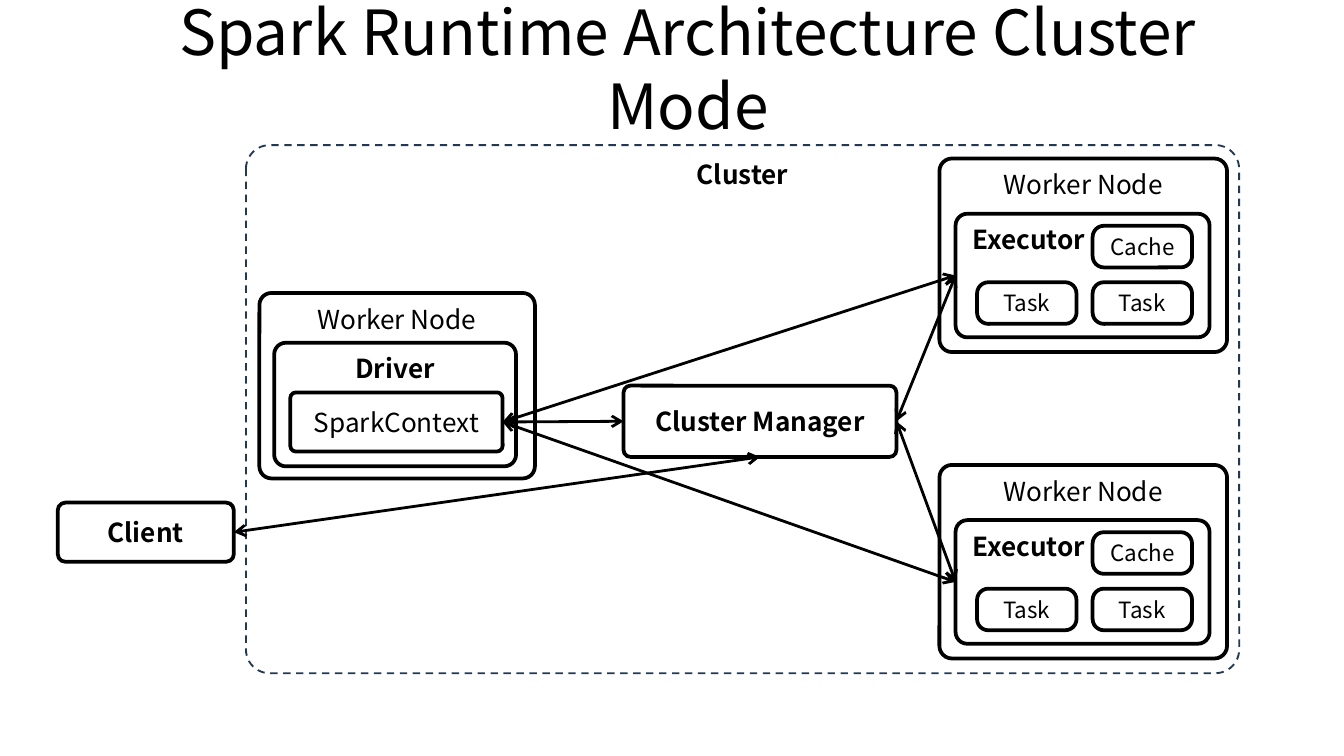
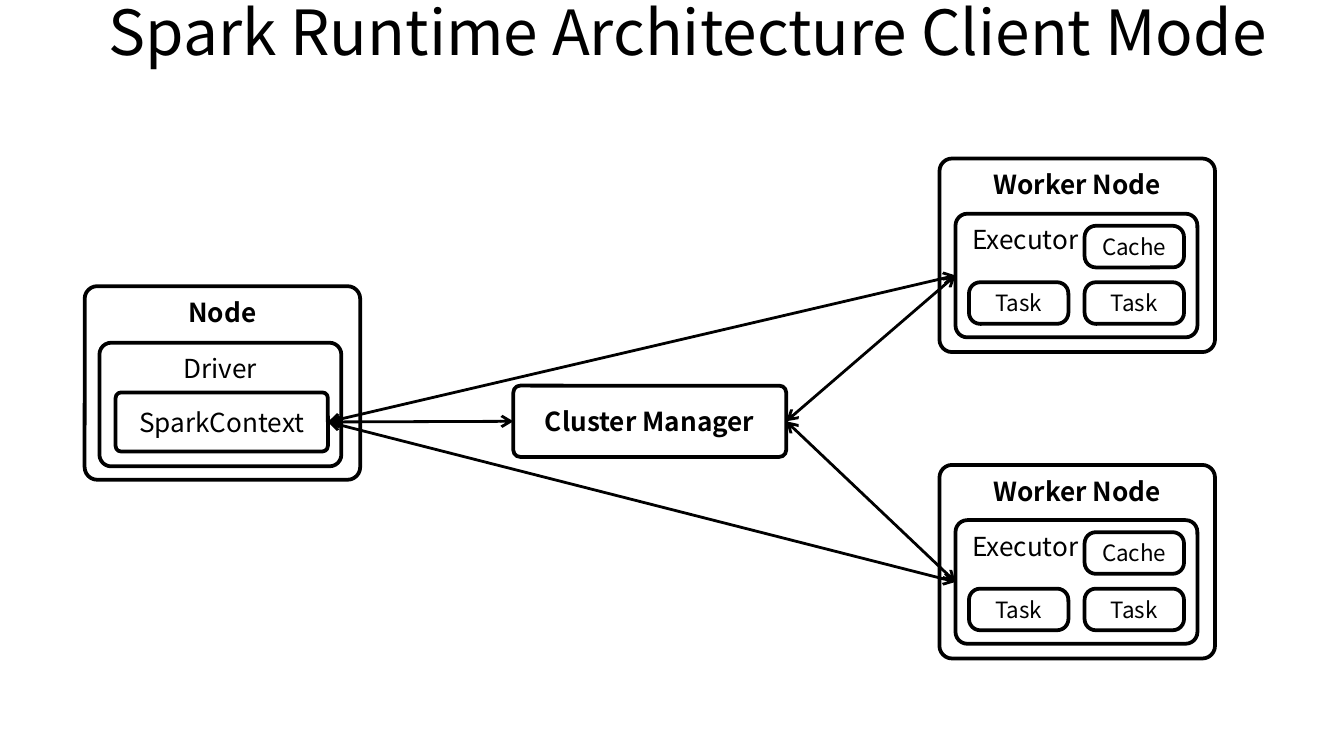
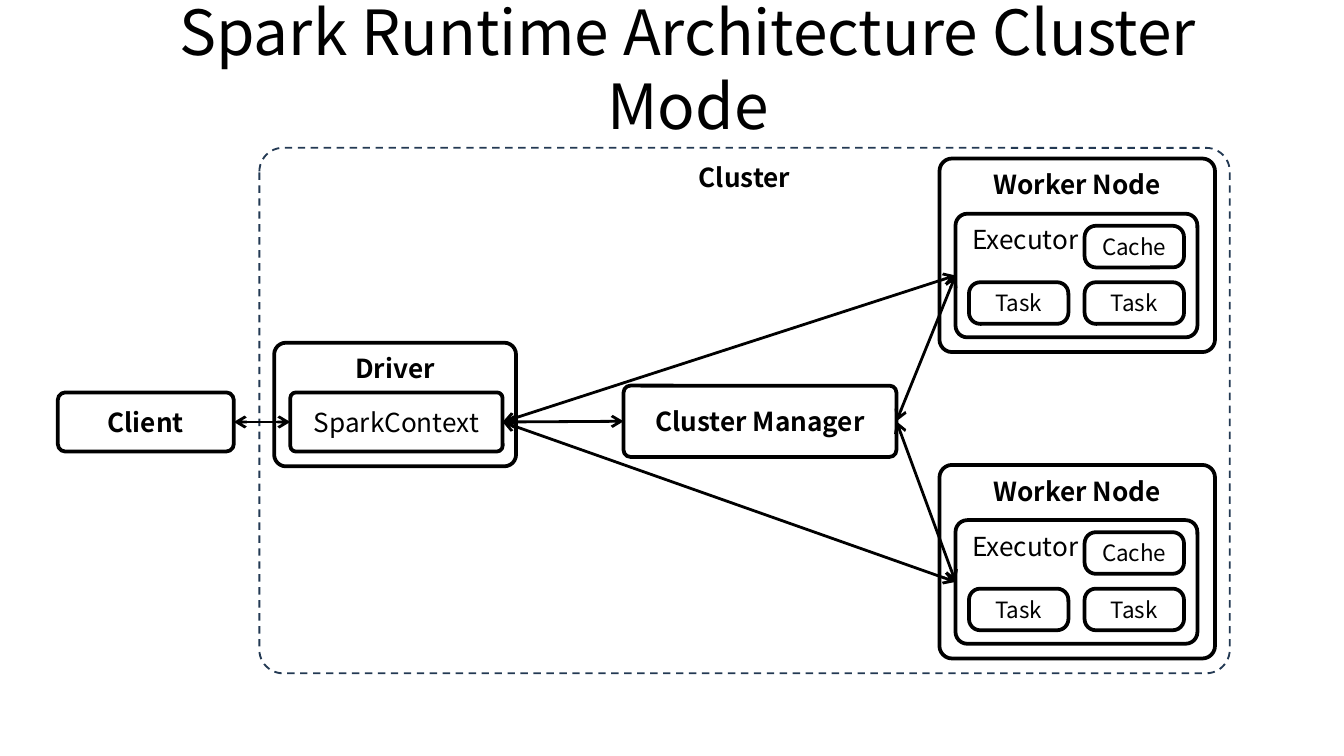
"""Build three slides that show the Spark runtime in cluster and client mode."""
from lxml.etree import SubElement
from pptx import Presentation
from pptx.dml.color import RGBColor
from pptx.enum.dml import MSO_LINE
from pptx.enum.shapes import MSO_CONNECTOR, MSO_SHAPE
from pptx.enum.text import MSO_ANCHOR, PP_ALIGN
from pptx.oxml.ns import qn
from pptx.util import Inches, Pt

BLACK = RGBColor(0x00, 0x00, 0x00)
WHITE = RGBColor(0xFF, 0xFF, 0xFF)
NAVY = RGBColor(0x23, 0x39, 0x53)
FONT = "Noto Sans CJK KR"
SLIDE_SIZE = (10, 10 * 9 / 16)
TITLE_AREA = (0.62, -0.1, 9, 0.94)

TOP, LEFT, BOTTOM, RIGHT = range(4)
WORKER_LEFT, WORKER_TOPS = 6.99, (1.18, 3.46)
WORKER_HEIGHT, INNER_HEIGHT = 1.44, 0.92
CHIP_SIZE, CHIP_PITCH = (0.74, 0.31), (0.86, 0.42)
CHIPS = [("Task", 0, 1), ("Task", 1, 1), ("Cache", 1, 0)]
DRIVER_TOP, DRIVER_WIDTH = 2.55, 1.8
CONTEXT_SIZE, MANAGER_SIZE, CLIENT_SIZE = (1.58, 0.44), (2.03, 0.53), (1.31, 0.44)

STYLES = {
    "cluster": {"corner": 0.045, "fill": None, "line": NAVY, "width": 1, "dash": MSO_LINE.DASH},
    "node": {"corner": 0.065},
    "process": {"corner": 0.095},
    "executor": {"corner": 0.095, "align": PP_ALIGN.LEFT},
    "part": {"corner": 0.095, "anchor": MSO_ANCHOR.MIDDLE},
    "client": {"corner": 0.128, "anchor": MSO_ANCHOR.MIDDLE},
    "chip": {"corner": 0.271, "anchor": MSO_ANCHOR.MIDDLE, "size": 12},
}

SLIDES = [
    {
        "title": "Spark Runtime Architecture Cluster Mode",
        "cluster": (1.83, 1.08, 7.39, 3.93),
        "driver_node": ("Worker Node", (1.93, 2.18, 2.05, 1.38)),
        "driver_left": 2.04,
        "manager_left": 4.64,
        "worker_width": 2.14,
        "chip_inset": 0.16,
        "bold": {"Cluster", "Driver", "Executor", "Cluster Manager", "Client"},
        "client": (3.74, "manager", BOTTOM),
    },
    {
        "title": "Spark Runtime Architecture Client Mode",
        "driver_node": ("Node", (0.63, 2.13, 2.05, 1.44)),
        "driver_left": 0.74,
        "manager_left": 3.82,
        "worker_width": 2.05,
        "chip_inset": 0.1,
        "bold": {"Node", "Worker Node", "Cluster Manager"},
    },
    {
        "title": "Spark Runtime Architecture Cluster Mode",
        "cluster": (1.93, 1.1, 7.22, 3.91),
        "driver_left": 2.04,
        "manager_left": 4.64,
        "worker_width": 2.05,
        "chip_inset": 0.1,
        "bold": {"Cluster", "Driver", "Worker Node", "Cluster Manager", "Client"},
        "client": (2.92, "context", LEFT),
    },
]


def write(shape, text, size, bold=False, align=PP_ALIGN.CENTER, anchor=MSO_ANCHOR.TOP):
    """Put one formatted paragraph in a shape."""
    frame = shape.text_frame
    for name, value in {"word_wrap": True, "vertical_anchor": anchor}.items():
        setattr(frame, name, value)
    paragraph = frame.paragraphs[0]
    paragraph.alignment = align
    run = paragraph.add_run()
    run.text = text
    for name, value in {"name": FONT, "size": Pt(size), "bold": bold}.items():
        setattr(run.font, name, value)
    run.font.color.rgb = BLACK


def add_box(slide, kind, text, area, bold_labels):
    """Add a labelled rounded rectangle in the style of its kind."""
    style = {"fill": WHITE, "line": BLACK, "width": 2, "dash": None, "size": 14,
             "align": PP_ALIGN.CENTER, "anchor": MSO_ANCHOR.TOP, **STYLES[kind]}
    shape = slide.shapes.add_shape(MSO_SHAPE.ROUNDED_RECTANGLE, *map(Inches, area))
    shape.adjustments[0] = style["corner"]
    shape.shadow.inherit = False
    if style["fill"] is None:
        shape.fill.background()
    else:
        shape.fill.solid()
        shape.fill.fore_color.rgb = style["fill"]
    shape.line.color.rgb = style["line"]
    shape.line.width = Pt(style["width"])
    shape.line.dash_style = style["dash"]
    write(shape, text, style["size"], text in bold_labels, style["align"], style["anchor"])
    return shape


def link(slide, start, start_side, end, end_side):
    """Join two boxes with a two-headed arrow."""
    connector = slide.shapes.add_connector(MSO_CONNECTOR.STRAIGHT, 0, 0, 0, 0)
    connector.begin_connect(start, start_side)
    connector.end_connect(end, end_side)
    connector.line.color.rgb = BLACK
    connector.line.width = Pt(1.5)
    outline = connector.line._get_or_add_ln()
    for end_name in ("a:headEnd", "a:tailEnd"):
        SubElement(outline, qn(end_name), type="arrow")
    SubElement(connector._element.spPr, qn("a:effectLst"))


def add_worker(slide, top, content):
    """Add a worker node with its executor, tasks and cache; return the executor."""
    bold, width = content["bold"], content["worker_width"]
    add_box(slide, "node", "Worker Node", (WORKER_LEFT, top, width, WORKER_HEIGHT), bold)
    left, inner_top = WORKER_LEFT + 0.12, top + 0.41
    executor = add_box(slide, "executor", "Executor",
                       (left, inner_top, width - 0.25, INNER_HEIGHT), bold)
    for text, column, row in CHIPS:
        chip_left = left + content["chip_inset"] + column * CHIP_PITCH[0]
        chip_top = inner_top + 0.09 + row * CHIP_PITCH[1]
        add_box(slide, "chip", text, (chip_left, chip_top, *CHIP_SIZE), bold)
    return executor


def add_diagram(slide, content):
    """Draw the title, the boxes and the arrows of one slide."""
    bold, driver_left = content["bold"], content["driver_left"]
    title = slide.shapes.add_textbox(*map(Inches, TITLE_AREA))
    write(title, content["title"], 33.3)
    if "cluster" in content:
        add_box(slide, "cluster", "Cluster", content["cluster"], bold)
    if "driver_node" in content:
        add_box(slide, "node", *content["driver_node"], bold)
    add_box(slide, "process", "Driver",
            (driver_left, DRIVER_TOP, DRIVER_WIDTH, INNER_HEIGHT), bold)
    parts = {
        "context": add_box(slide, "part", "SparkContext",
                           (driver_left + 0.12, DRIVER_TOP + 0.37, *CONTEXT_SIZE), bold),
        "manager": add_box(slide, "part", "Cluster Manager",
                           (content["manager_left"], 2.87, *MANAGER_SIZE), bold),
    }
    executors = [add_worker(slide, top, content) for top in WORKER_TOPS]
    link(slide, parts["context"], RIGHT, parts["manager"], LEFT)
    for part in parts.values():
        for executor in executors:
            link(slide, part, RIGHT, executor, LEFT)
    if "client" in content:
        top, target, side = content["client"]
        client = add_box(slide, "client", "Client", (0.43, top, *CLIENT_SIZE), bold)
        link(slide, client, RIGHT, parts[target], side)


def main():
    """Build and save the presentation."""
    presentation = Presentation()
    presentation.slide_width, presentation.slide_height = map(Inches, SLIDE_SIZE)
    for content in SLIDES:
        add_diagram(presentation.slides.add_slide(presentation.slide_layouts[6]), content)
    presentation.save("out.pptx")


if __name__ == "__main__":
    main()
